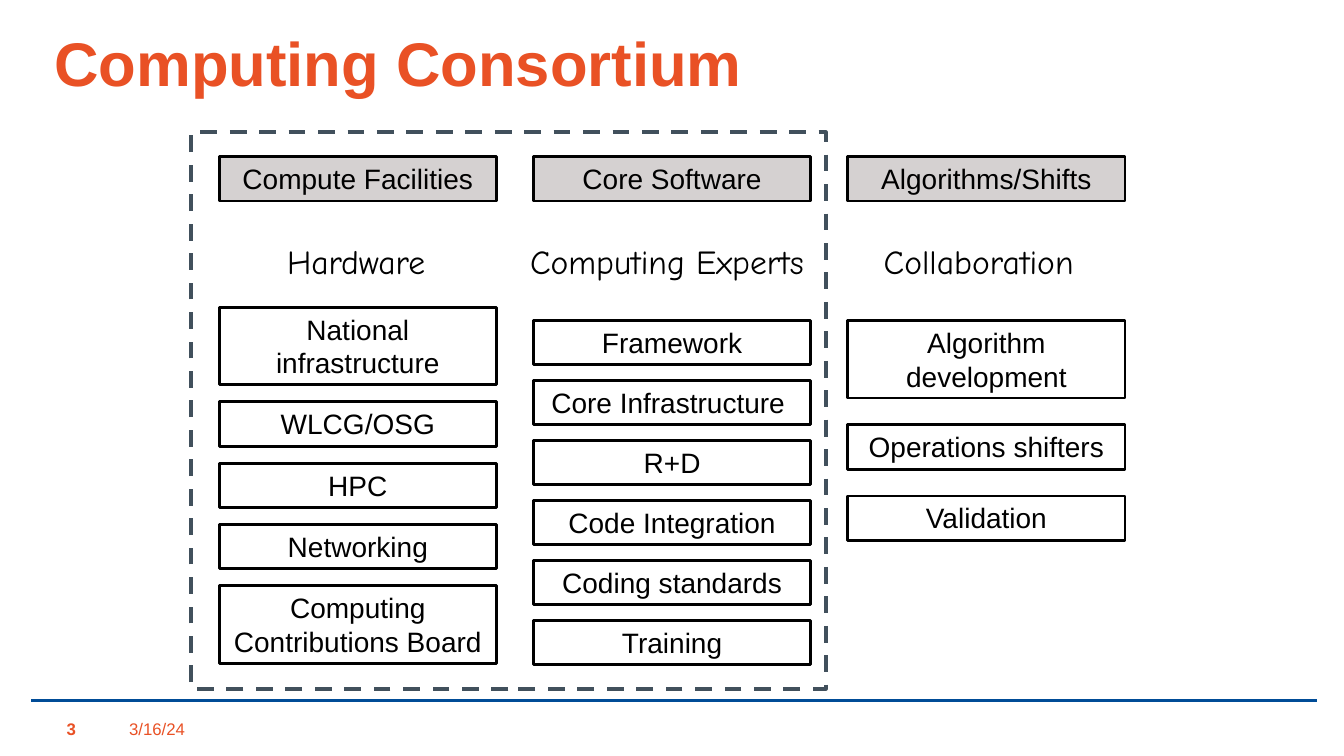
from dataclasses import dataclass

from lxml.etree import SubElement
from pptx import Presentation
from pptx.dml.color import RGBColor
from pptx.enum.dml import MSO_LINE_DASH_STYLE as Dash
from pptx.enum.shapes import MSO_CONNECTOR as Connector, MSO_SHAPE as Preset
from pptx.enum.text import MSO_ANCHOR as Anchor, MSO_AUTO_SIZE as AutoSize, PP_ALIGN as Align
from pptx.oxml.ns import qn
from pptx.util import Pt

COLOURS = {
    "orange": "E95125",
    "blue": "004C97",
    "slate": "41505C",
    "grey": "D5D1D1",
    "black": "000000",
}
BOX_WIDTH, BOX_HEIGHT, TALL_HEIGHT = 198, 31.7, 55.4
FIRST_LEFT, COLUMN_STEP = 156.6, 224.5
HEADER_TOP, CAPTION_TOP, CAPTION_HEIGHT = 112, 168.3, 36


@dataclass
class Box:
    text: str
    height: float = BOX_HEIGHT


@dataclass
class Column:
    header: str
    caption: str
    caption_left: float
    caption_width: float
    first_top: float
    gap: float
    boxes: list[Box]


@dataclass
class Label:
    text: str
    left: float
    top: float
    width: float
    height: float
    size: float
    bold: bool
    anchor: Anchor


COLUMNS = [
    Column("Compute Facilities", "Hardware", 198, 116, 219.6, 12.1, [
        Box("National infrastructure", TALL_HEIGHT),
        Box("WLCG/OSG"),
        Box("HPC"),
        Box("Networking"),
        Box("Computing Contributions Board", TALL_HEIGHT),
    ]),
    Column("Core Software", "Computing Experts", 371.5, 218, 229, 11.1, [
        Box("Framework"),
        Box("Core Infrastructure "),
        Box("R+D"),
        Box("Code Integration"),
        Box("Coding standards"),
        Box("Training"),
    ]),
    Column("Algorithms/Shifts", "Collaboration", 624.2, 155.5, 229, 19.1, [
        Box("Algorithm development", TALL_HEIGHT),
        Box("Operations shifters"),
        Box("Validation"),
    ]),
]
LABELS = [
    Label("Computing Consortium", 38.9, 18, 864, 51, 44, True, Anchor.TOP),
    Label("3/16/24", 92.2, 515.5, 105, 12.2, 12, False, Anchor.BOTTOM),
    Label("3", 47.5, 515.5, 44.6, 12.2, 12, True, Anchor.BOTTOM),
]


def colour(name: str) -> RGBColor:
    return RGBColor.from_string(COLOURS[name])


def write(frame, text: str, colour_name: str = "black", align=Align.LEFT, **font_format) -> None:
    paragraph = frame.paragraphs[0]
    paragraph.alignment = align
    run = paragraph.add_run()
    run.text = text
    for name, value in {"name": "Arial", "size": Pt(20), **font_format}.items():
        setattr(run.font, name, value)
    run.font.color.rgb = colour(colour_name)


def set_frame(frame, **frame_format) -> None:
    for name, value in frame_format.items():
        setattr(frame, name, value)


def add_rectangle(slide, left: float, top: float, width: float, height: float,
                  line: str = "black", weight: float = 2, fill: str | None = None):
    shape = slide.shapes.add_shape(Preset.RECTANGLE, Pt(left), Pt(top), Pt(width), Pt(height))
    shape.shadow.inherit = False
    if fill:
        shape.fill.solid()
        shape.fill.fore_color.rgb = colour(fill)
    else:
        shape.fill.background()
    shape.line.color.rgb = colour(line)
    shape.line.width = Pt(weight)
    return shape


def add_box(slide, box: Box, left: float, top: float, fill: str | None = None) -> None:
    shape = add_rectangle(slide, left, top, BOX_WIDTH, box.height, fill=fill)
    set_frame(shape.text_frame, word_wrap=True, vertical_anchor=Anchor.TOP,
              auto_size=AutoSize.SHAPE_TO_FIT_TEXT)
    write(shape.text_frame, box.text, align=Align.CENTER)


def add_label(slide, label: Label) -> None:
    frame = slide.shapes.add_textbox(
        Pt(label.left), Pt(label.top), Pt(label.width), Pt(label.height)).text_frame
    set_frame(frame, word_wrap=True, vertical_anchor=label.anchor, margin_left=0,
              margin_top=0, margin_right=0, margin_bottom=0)
    write(frame, label.text, "orange", size=Pt(label.size), bold=label.bold)


def add_column(slide, column: Column, left: float) -> None:
    add_box(slide, Box(column.header), left, HEADER_TOP, "grey")
    caption = slide.shapes.add_textbox(
        Pt(column.caption_left), Pt(CAPTION_TOP), Pt(column.caption_width), Pt(CAPTION_HEIGHT))
    set_frame(caption.text_frame, word_wrap=False, auto_size=AutoSize.SHAPE_TO_FIT_TEXT)
    write(caption.text_frame, column.caption, name="Comic Neue", size=Pt(24))
    top = column.first_top
    for box in column.boxes:
        add_box(slide, box, left, top)
        top += box.height + column.gap


def add_footer_rule(slide) -> None:
    rule = slide.shapes.add_connector(
        Connector.STRAIGHT, Pt(22.5), Pt(500.4), Pt(941), Pt(500.4))
    rule.line.color.rgb = colour("blue")
    rule.line.width = Pt(2)
    SubElement(rule._element.spPr, qn("a:effectLst"))


def main() -> None:
    presentation = Presentation()
    presentation.slide_width, presentation.slide_height = Pt(960), Pt(540)
    slide = presentation.slides.add_slide(presentation.slide_layouts[6])

    # Title and footer
    add_footer_rule(slide)
    for label in LABELS:
        add_label(slide, label)

    # Three columns of work areas
    for index, column in enumerate(COLUMNS):
        add_column(slide, column, FIRST_LEFT + index * COLUMN_STEP)

    # Dashed frame around the first two columns
    frame = add_rectangle(slide, 136.3, 94.5, 453.6, 397.4, "slate", 3)
    frame.line.dash_style = Dash.DASH

    presentation.save("out.pptx")


if __name__ == "__main__":
    main()
